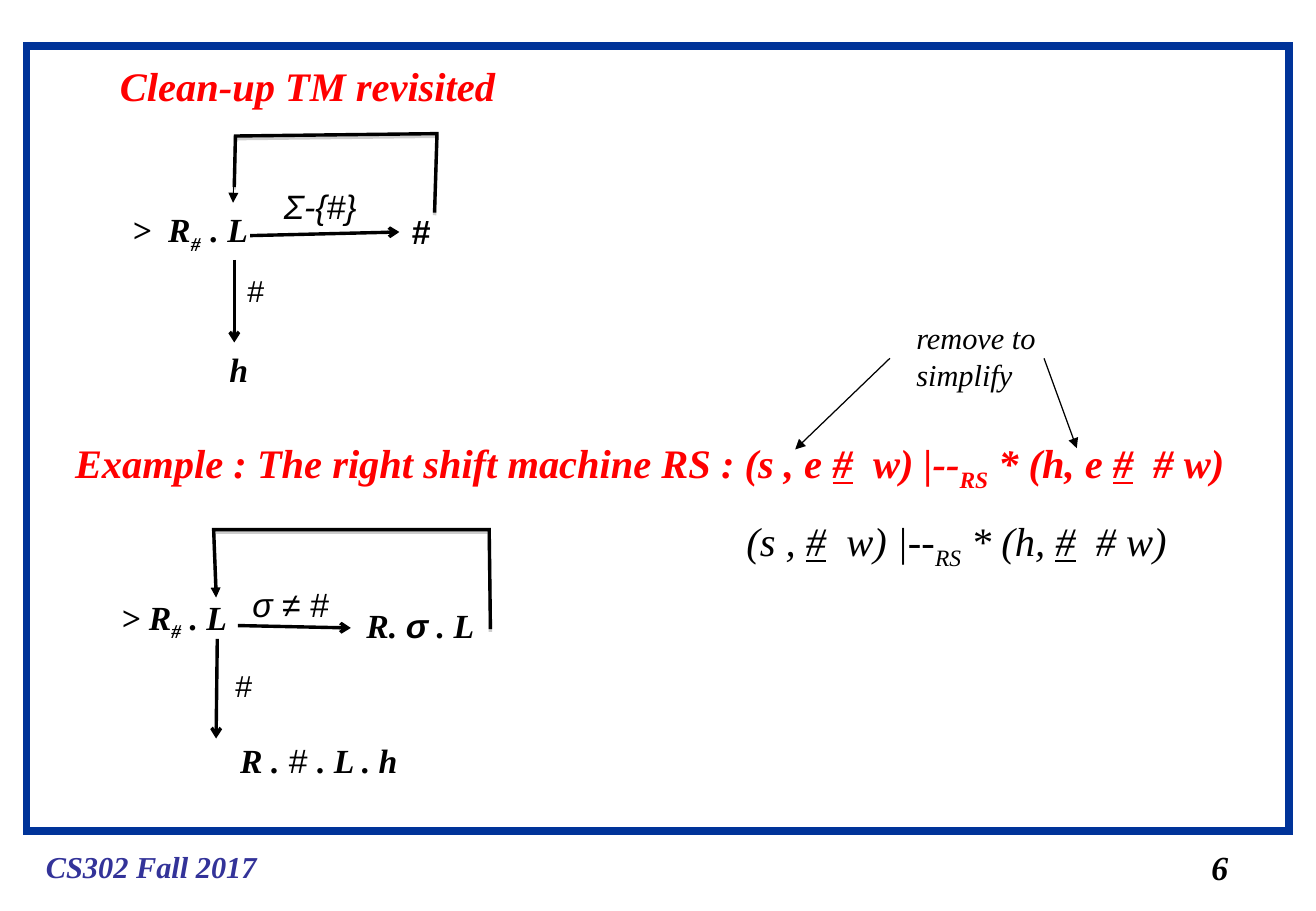
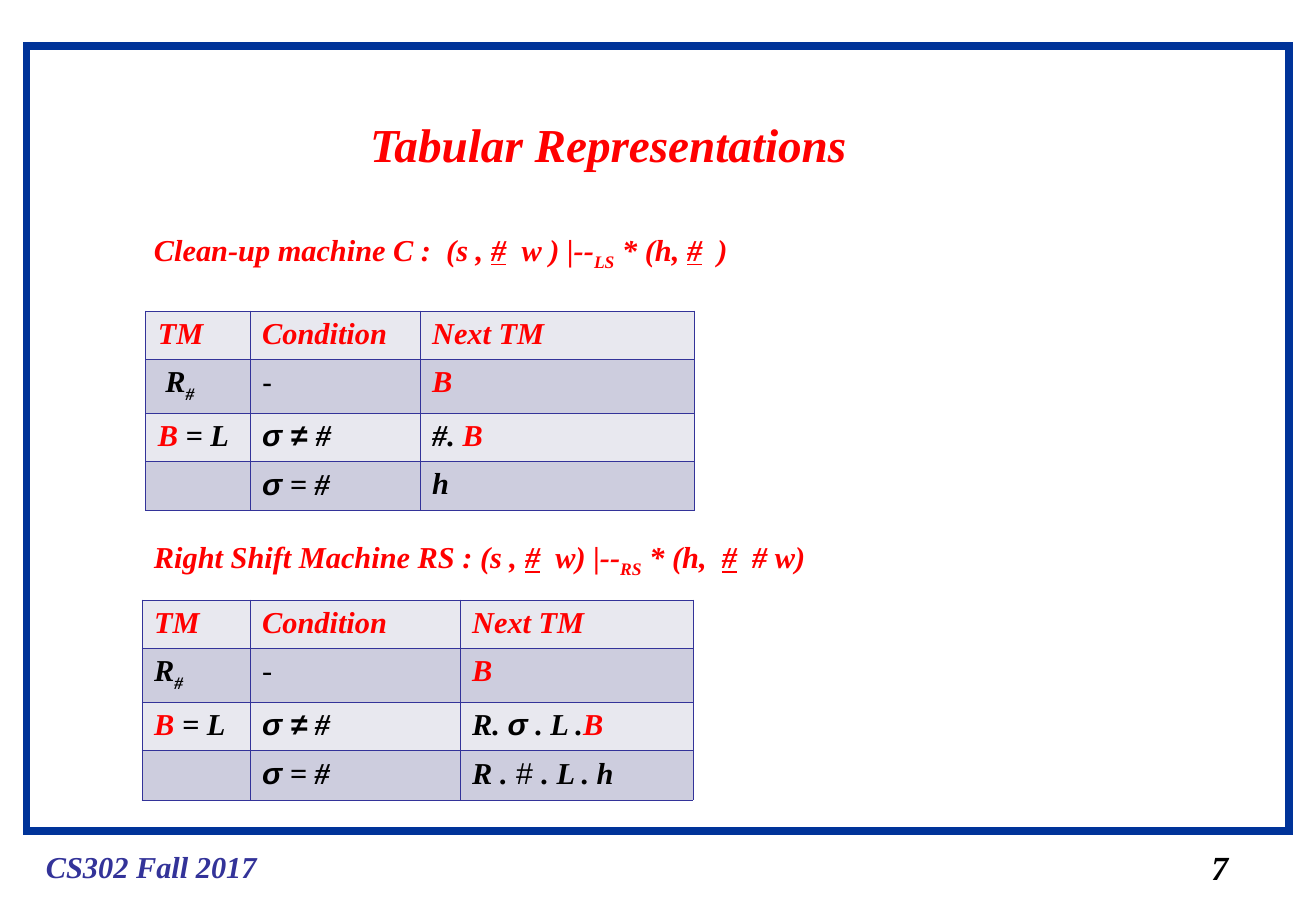
from dataclasses import dataclass, replace

from lxml import etree
from pptx import Presentation
from pptx.dml.color import RGBColor
from pptx.enum.shapes import MSO_CONNECTOR, MSO_SHAPE
from pptx.enum.text import MSO_AUTO_SIZE
from pptx.oxml import parse_xml
from pptx.oxml.ns import nsdecls, qn
from pptx.util import Inches, Pt

RED = RGBColor(0xFF, 0x00, 0x00)
BLACK = RGBColor(0x00, 0x00, 0x00)
NAVY = RGBColor(0x33, 0x33, 0x99)
FRAME_BLUE = RGBColor(0x00, 0x33, 0x99)
ROW_LIGHT = RGBColor(0xE8, 0xE8, 0xEF)
ROW_DARK = RGBColor(0xCD, 0xCD, 0xDE)
SERIF = "Times New Roman"
SANS = "Arial"


@dataclass(frozen=True)
class Style:
    size: int
    color: RGBColor = BLACK
    font: str = SERIF
    bold: bool = True
    italic: bool = True
    underline: bool = False
    subscript: bool = False


STATE = Style(20)
STATE_SANS = replace(STATE, font=SANS)
STATE_PLAIN = replace(STATE_SANS, bold=False, italic=False)
CONDITION = replace(STATE_SANS, bold=False)
SYMBOL = replace(STATE_PLAIN, size=18)
NOTE = Style(18, bold=False)
HEADING = Style(24, RED)
TITLE = Style(28, RED)
CAPTION = Style(18, RED)
FOOTER = Style(18, NAVY)
CELL = Style(18)
CELL_SANS = replace(CELL, font=SANS)


def sub(style):
    return replace(style, subscript=True)


def write_runs(paragraph, runs):
    for text, style in runs:
        run = paragraph.add_run()
        run.text = text
        font = run.font
        font.size = Pt(style.size)
        font.name = style.font
        font.bold = style.bold
        font.italic = style.italic
        font.color.rgb = style.color
        if style.underline:
            font.underline = True
        if style.subscript:
            run._r.get_or_add_rPr().set("baseline", "-25000")


def add_label(slide, place, *lines):
    label = slide.shapes.add_textbox(*map(Inches, place))
    frame = label.text_frame
    frame.word_wrap = True
    frame.auto_size = MSO_AUTO_SIZE.NONE
    for index, runs in enumerate(lines):
        paragraph = frame.add_paragraph() if index else frame.paragraphs[0]
        write_runs(paragraph, runs)
    return label


def add_arrow(slide, start, end, width=2, head="arrow"):
    arrow = slide.shapes.add_connector(
        MSO_CONNECTOR.STRAIGHT, *map(Inches, (*start, *end)))
    arrow.line.color.rgb = BLACK
    arrow.line.width = Pt(width)
    line = arrow.line._get_or_add_ln()
    etree.SubElement(line, qn("a:tailEnd"), type=head)
    etree.SubElement(arrow._element.spPr, qn("a:effectLst"))
    return arrow


def square_corners(shape):
    line = shape.line._get_or_add_ln()
    etree.SubElement(line, qn("a:miter"), lim="800000")


def add_loop(slide, corners, tip_start, tip_end):
    start, *rest = [tuple(map(Inches, corner)) for corner in corners]
    builder = slide.shapes.build_freeform(*start)
    builder.add_line_segments(rest, close=False)
    loop = builder.convert_to_shape()
    loop.fill.background()
    loop.line.color.rgb = BLACK
    loop.line.width = Pt(2)
    square_corners(loop)
    loop.shadow.inherit = False
    effects = loop._element.spPr.find(qn("a:effectLst"))
    effects.append(parse_xml(
        f'<a:outerShdw {nsdecls("a")} dist="20000" dir="5400000" rotWithShape="0">'
        '<a:srgbClr val="808080"><a:alpha val="38000"/></a:srgbClr></a:outerShdw>'))
    add_arrow(slide, tip_start, tip_end, 0.5, "triangle")


def transition(style, before, after_start, machine, before_end, after_end):
    head = replace(style, underline=True)
    return [(before, style), ("#", head), (after_start, style),
            (machine, sub(style)), (before_end, style), ("#", head),
            (after_end, style)]


def add_cell_borders(cell):
    properties = cell._tc.get_or_add_tcPr()
    for side in ("lnL", "lnR", "lnT", "lnB"):
        properties.append(parse_xml(
            f'<a:{side} {nsdecls("a")} w="{Pt(0.45)}"><a:solidFill>'
            f'<a:srgbClr val="{NAVY}"/></a:solidFill></a:{side}>'))


def add_machine_table(slide, left, top, widths, body):
    header = [[(name, CAPTION)] for name in ("TM", "Condition", "Next TM")]
    rows = [header, *body]
    heights = (0.4, 0.44, 0.4, 0.4)
    table = slide.shapes.add_table(
        len(rows), len(widths), Inches(left), Inches(top),
        Inches(sum(widths)), Inches(sum(heights))).table
    table.first_row = False
    table.horz_banding = False
    for column, width in zip(table.columns, widths):
        column.width = Inches(width)
    for index, (row, height) in enumerate(zip(table.rows, heights)):
        row.height = Inches(height)
        for cell, runs in zip(row.cells, rows[index]):
            add_cell_borders(cell)
            cell.fill.solid()
            cell.fill.fore_color.rgb = ROW_DARK if index % 2 else ROW_LIGHT
            write_runs(cell.text_frame.paragraphs[0], runs)


def add_course_slide(deck, number):
    slide = deck.slides.add_slide(deck.slide_layouts[6])
    border = slide.shapes.add_shape(
        MSO_SHAPE.RECTANGLE, *map(Inches, (0.22, 0.38, 10.4, 6.46)))
    border.fill.background()
    border.line.color.rgb = FRAME_BLUE
    border.line.width = Pt(4.5)
    square_corners(border)
    border.shadow.inherit = False
    add_label(slide, (0.28, 6.93, 2.2, 0.4), [("CS302 Fall 2017", FOOTER)])
    add_label(slide, (9.88, 6.92, 0.5, 0.44), [(str(number), STATE)])
    return slide


def draw_right_shift_machine(slide):
    add_label(slide, (0.9, 4.86, 1.3, 0.48),
              [("> R", STATE), ("#", sub(STATE)), (" . L", STATE)])
    add_arrow(slide, (1.96, 5.15), (2.89, 5.17))
    add_label(slide, (1.98, 4.76, 1.05, 0.44), [("σ ≠ #", CONDITION)])
    add_label(slide, (2.92, 4.93, 1.3, 0.44),
              [("R. ", STATE), ("σ", STATE_SANS), (" . L", STATE)])
    add_arrow(slide, (1.79, 5.26), (1.78, 6.08))
    add_label(slide, (1.84, 5.44, 0.4, 0.4), [("#", SYMBOL)])
    add_label(slide, (1.88, 6.04, 1.8, 0.44),
              [("R .", STATE), (" # ", STATE_PLAIN), (". L . h", STATE)])
    add_loop(slide, [(4.04, 5.18), (4.03, 4.36), (1.76, 4.36), (1.78, 4.87)],
             (1.76, 4.51), (1.78, 4.92))


def draw_clean_up_machine(slide):
    add_label(slide, (0.99, 1.67, 1.3, 0.48),
              [(">  R", STATE), ("#  ", sub(STATE)), (". L", STATE)])
    to_blank = add_arrow(slide, (2.06, 1.94), (3.29, 1.91))
    add_label(slide, (2.24, 1.48, 0.9, 0.44), [("Σ-{#}", CONDITION)])
    blank = add_label(slide, (3.29, 1.69, 0.43, 0.44), [("#", STATE_SANS)])
    to_blank.end_connect(blank, 1)
    add_arrow(slide, (1.93, 2.14), (1.93, 2.82))
    add_label(slide, (1.94, 2.19, 0.4, 0.4), [("#", SYMBOL)])
    add_label(slide, (1.79, 2.82, 0.45, 0.44), [("h", STATE)])
    add_loop(slide, [(3.58, 1.75), (3.6, 1.1), (1.94, 1.12), (1.93, 1.54)],
             (1.93, 1.35), (1.92, 1.67))


def build_machines_slide(deck):
    slide = add_course_slide(deck, 6)
    add_label(slide, (0.89, 0.45, 3.6, 0.5), [("Clean-up TM revisited", HEADING)])
    add_label(slide, (0.52, 3.56, 10, 0.56), transition(
        HEADING, "Example : The right shift machine RS : (s , e ",
        "  w) |--", "RS", " * (h, e ", "  # w)"))
    draw_right_shift_machine(slide)
    draw_clean_up_machine(slide)
    add_label(slide, (6.05, 4.2, 4, 0.56), transition(
        Style(24, bold=False), "(s , ", "  w) |--", "RS", " * (h, ", "  # w)"))
    add_arrow(slide, (7.33, 2.95), (6.55, 3.7), 0.75, "triangle")
    add_arrow(slide, (8.6, 2.95), (8.87, 3.69), 0.75, "triangle")
    add_label(slide, (7.45, 2.58, 1.4, 0.7),
              [("remove to", NOTE)], [("simplify", NOTE)])


def build_tables_slide(deck):
    slide = add_course_slide(deck, 7)
    add_label(slide, (2.95, 0.9, 4.5, 0.57), [("Tabular Representations", TITLE)])
    branch = [("B", CAPTION)]
    left_step = [*branch, (" = L", CELL)]
    is_blank = [("σ", CELL_SANS), (" = #", CELL)]
    plain_sans = replace(CELL_SANS, bold=False, italic=False)

    add_label(slide, (1.17, 1.85, 5.35, 0.44), transition(
        CAPTION, "Clean-up machine C :  (s , ", "  w ) |--", "LS",
        " * (h, ", "  )"))
    add_machine_table(slide, 1.2, 2.56, (0.86, 1.4, 2.26), [
        [[(" R", CELL), ("#", sub(CELL))], [("-", plain_sans)], branch],
        [left_step, [("σ ≠ ", CELL_SANS), ("#", CELL)], [("#. ", CELL), *branch]],
        [[], is_blank, [("h", CELL)]],
    ])

    add_label(slide, (1.17, 4.38, 5.99, 0.44), transition(
        CAPTION, "Right Shift Machine RS : (s , ", "  w) |--", "RS",
        " * (h,  ", "  # w)"))
    add_machine_table(slide, 1.17, 4.94, (0.89, 1.73, 1.92), [
        [[("R", CELL), ("#", sub(CELL))],
         [("-", replace(CELL, bold=False, italic=False))], branch],
        [left_step, [("σ ≠", CELL_SANS), (" #", CELL)],
         [("R. ", CELL), ("σ", CELL_SANS), (" . L .", CELL), *branch]],
        [[], is_blank, [("R .", CELL), (" # ", plain_sans), (". L . h", CELL)]],
    ])


def main():
    deck = Presentation()
    deck.slide_width = Inches(10.84)
    deck.slide_height = Inches(7.5)
    build_machines_slide(deck)
    build_tables_slide(deck)
    deck.save("out.pptx")


if __name__ == "__main__":
    main()
